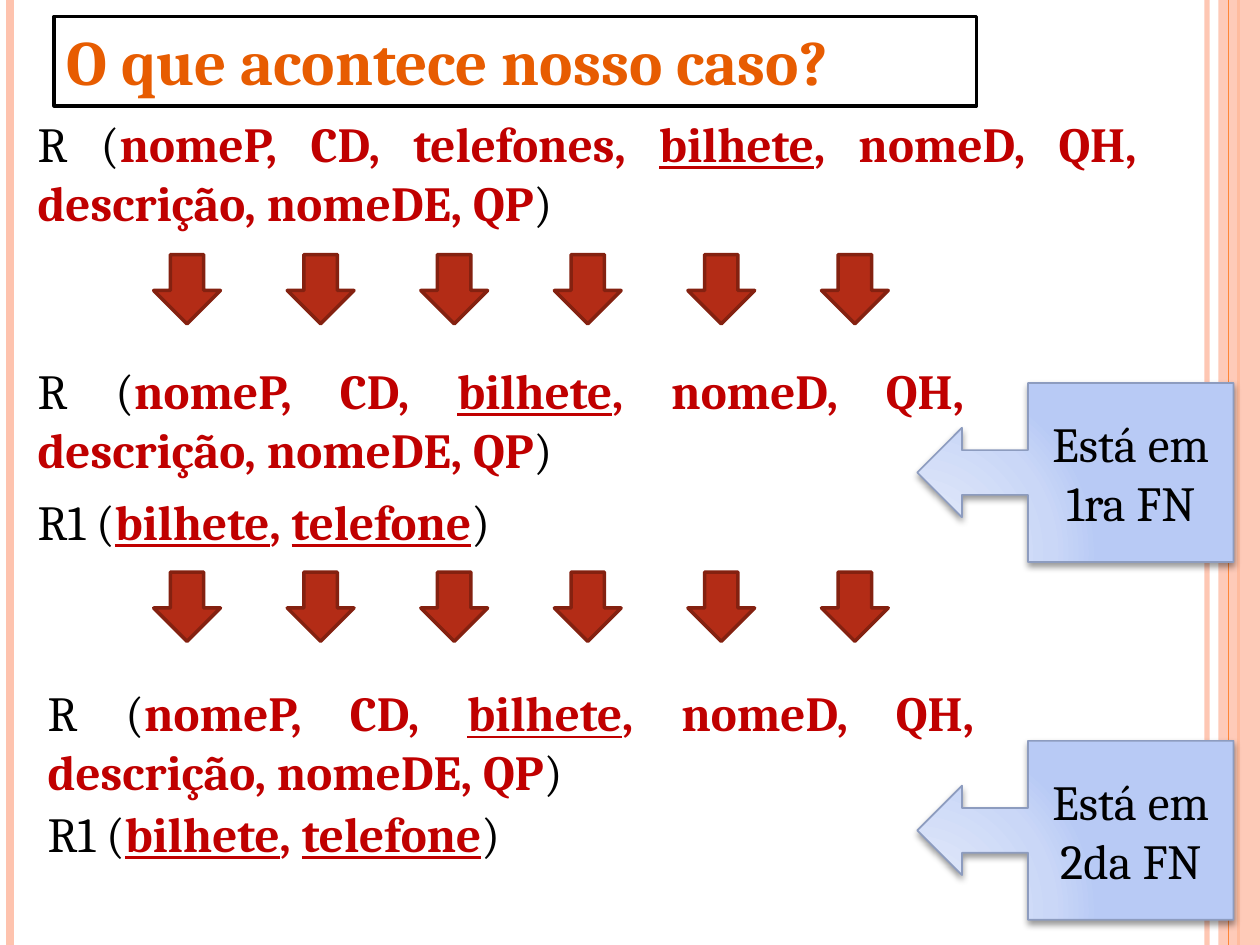
from lxml.etree import SubElement
from pptx import Presentation
from pptx.dml.color import RGBColor
from pptx.enum.shapes import MSO_CONNECTOR, MSO_SHAPE
from pptx.enum.text import MSO_ANCHOR, PP_ALIGN
from pptx.oxml.ns import qn
from pptx.util import Pt

PX = 9144
WIDTH, HEIGHT = 1000, 750


def color(value):
    return RGBColor.from_string(value)


def add_tag(parent, tag, **attributes):
    return SubElement(parent, qn(tag), {name: str(value) for name, value in attributes.items()})


def set_alpha(fill, percent):
    tint = fill._xPr.find(".//" + qn("a:srgbClr"))
    add_tag(tint, "a:alpha", val=percent * 1000)


class Slide:
    font = "Cambria"
    ink = "000000"
    accent = "C00000"
    stops = ((0, "DEE6FA"), (30, "DBE4F9"), (75, "CAD7F7"), (100, "B8CAF5"))
    focus = {"l": 5, "t": 100, "r": 120, "b": 10}

    def __init__(self, deck):
        self.page = deck.slides.add_slide(deck.slide_layouts[6])

    def shape(self, kind, left, top, width, height, fill=None, line=None, weight=1):
        shape = self.page.shapes.add_shape(kind, left * PX, top * PX, width * PX, height * PX)
        shape.shadow.inherit = False
        if fill:
            shape.fill.solid()
            shape.fill.fore_color.rgb = color(fill)
        if line:
            shape.line.color.rgb = color(line)
            shape.line.width = Pt(weight)
        else:
            shape.line.fill.background()
        return shape

    def stripe(self, x, tint, weight, alpha=None):
        line = self.page.shapes.add_connector(MSO_CONNECTOR.STRAIGHT, x * PX, 0, x * PX, HEIGHT * PX)
        line.line.color.rgb = color(tint)
        line.line.width = Pt(weight)
        if alpha:
            set_alpha(line.line.fill, alpha)
        add_tag(line._element.spPr, "a:effectLst")

    def band(self, left, width, tint, alpha):
        band = self.shape(MSO_SHAPE.RECTANGLE, left, 0, width, HEIGHT, tint)
        set_alpha(band.fill, alpha)

    def style(self, para, size, tint, align):
        para.alignment = align
        para.font.name = self.font
        para.font.size = Pt(size)
        para.font.color.rgb = color(tint)

    def text_box(self, left, top, width, height):
        box = self.page.shapes.add_textbox(left * PX, top * PX, width * PX, height * PX)
        box.text_frame.word_wrap = True
        return box

    def title(self, text, left, top, width, height):
        box = self.text_box(left, top, width, height)
        box.fill.solid()
        box.fill.fore_color.rgb = color("FFFFFF")
        box.line.color.rgb = color(self.ink)
        box.line.width = Pt(2)
        para = box.text_frame.paragraphs[0]
        para.text = text
        self.style(para, 36, "E75C01", PP_ALIGN.LEFT)
        para.font.bold = True

    def relation(self, name, attributes, keys, left, top, width, height):
        para = self.text_box(left, top, width, height).text_frame.paragraphs[0]
        self.style(para, 28, self.ink, PP_ALIGN.JUSTIFY)
        para.add_run().text = f"{name} ("
        for index, attribute in enumerate(attributes):
            if index:
                self.strong(para, ", ")
            self.strong(para, attribute, attribute in keys)
        para.add_run().text = ")"

    def strong(self, para, text, underline=False):
        span = para.add_run()
        span.text = text
        span.font.bold = True
        span.font.underline = underline
        span.font.color.rgb = color(self.accent)

    def arrow_row(self, top):
        for column in range(6):
            self.shape(MSO_SHAPE.DOWN_ARROW, 122 + 106 * column, top, 53, 55, "B32C16", "842110", 2)

    def callout(self, text, top):
        shape = self.shape(MSO_SHAPE.LEFT_ARROW_CALLOUT, 728, top, 251, 142, line="8D9CBF")
        self.radial_fill(shape)
        effects = shape._element.spPr.find(qn("a:effectLst"))
        shadow = add_tag(effects, "a:outerShdw", blurRad=Pt(4), dist=Pt(2), dir=90 * 60000, rotWithShape=0)
        tint = add_tag(shadow, "a:srgbClr", val="000000")
        add_tag(tint, "a:alpha", val=40000)
        frame = shape.text_frame
        frame.word_wrap = True
        frame.vertical_anchor = MSO_ANCHOR.MIDDLE
        para = frame.paragraphs[0]
        para.text = text
        self.style(para, 28, self.ink, PP_ALIGN.CENTER)

    def radial_fill(self, shape):
        shape.fill.gradient()
        gradient = shape._element.spPr.find(qn("a:gradFill"))
        for child in list(gradient):
            gradient.remove(child)
        stops = add_tag(gradient, "a:gsLst")
        for position, tint in self.stops:
            stop = add_tag(stops, "a:gs", pos=position * 1000)
            add_tag(stop, "a:srgbClr", val=tint)
        route = add_tag(gradient, "a:path", path="circle")
        add_tag(route, "a:fillToRect", **{side: value * 1000 for side, value in self.focus.items()})


def main():
    deck = Presentation()
    deck.slide_width, deck.slide_height = WIDTH * PX, HEIGHT * PX
    slide = Slide(deck)

    slide.stripe(958, "FEC3AE", 3, 93)
    slide.stripe(8, "FEC3AE", 4.5)
    slide.stripe(983, "FE8637", 1.5)
    slide.band(967, 33, "FEC3AE", 87)
    slide.stripe(975, "FE8637", 0.75)

    slide.title("O que acontece nosso caso?", 43, 13, 732, 71)

    normalized = ["nomeP", "CD", "bilhete", "nomeD", "QH", "descrição", "nomeDE", "QP"]
    original = normalized[:2] + ["telefones"] + normalized[2:]
    phones = ["bilhete", "telefone"]
    slide.relation("R", original, ["bilhete"], 20, 85, 892, 104)
    for left, top, phones_top in ((20, 281, 385), (28, 537, 633)):
        slide.relation("R", normalized, ["bilhete"], left, top, 755, 104)
        slide.relation("R1", phones, phones, left, phones_top, 669, 57)

    for top in (202, 454):
        slide.arrow_row(top)
    for text, top in (("Está em 1ra FN", 304), ("Está em 2da FN", 588)):
        slide.callout(text, top)

    deck.save("out.pptx")


if __name__ == "__main__":
    main()
